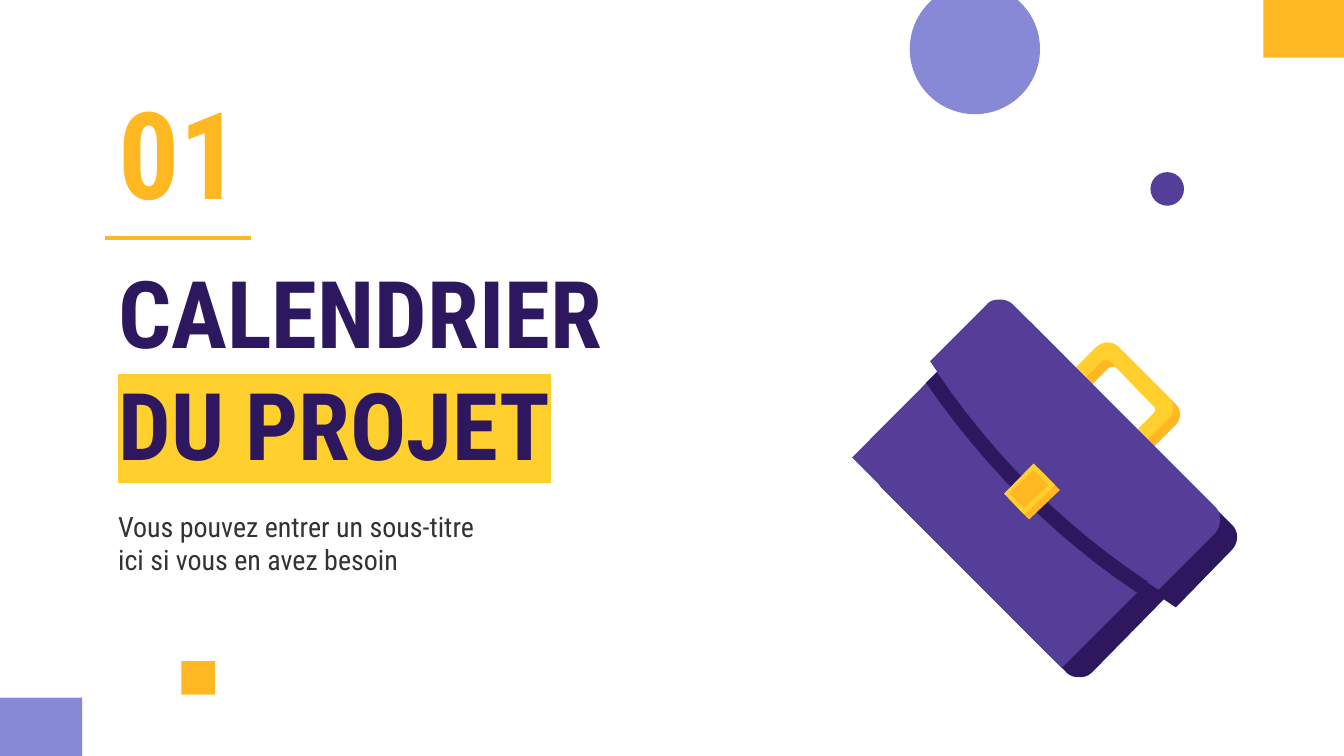
from lxml import etree
from pptx import Presentation
from pptx.dml.color import RGBColor
from pptx.enum import shapes, text
from pptx.oxml.ns import qn
from pptx.util import Pt

ORANGE = RGBColor(0xFF, 0xB8, 0x22)
YELLOW = RGBColor(0xFF, 0xCF, 0x2D)
LILAC = RGBColor(0x87, 0x89, 0xD6)
PURPLE = RGBColor(0x54, 0x3E, 0x97)
DARK = RGBColor(0x2D, 0x18, 0x60)
GREY = RGBColor(0x33, 0x33, 0x33)
FONT = "Roboto Condensed"
RECT = shapes.MSO_SHAPE.RECTANGLE
OVAL = shapes.MSO_SHAPE.OVAL

HANDLE = [
    (136.8, 23), (134.6, 23, 133.2, 23.8, 131, 25.2), (113, 43.2),
    (118.8, 48.2), (133.9, 33.1), (135, 32.2, 137.2, 32.2, 138.2, 33.1),
    (161.3, 56.9), (162.7, 57.6, 162.7, 59.8, 161.3, 61.2), (146.2, 76.3),
    (151.9, 81.4), (169.9, 63.4), (172.8, 60.5, 172.8, 55.4, 169.9, 52.6),
    (142.6, 25.2), (141.1, 23.8, 139, 23, 136.8, 23),
]
SHADE = [
    (88.6, 9.4), (85.7, 9.4, 82.8, 10.1, 80.6, 12.2), (51.1, 42.5),
    (54.7, 48.2), (15.8, 86.4), (12.2, 90.7, 12.2, 97.2, 15.8, 100.8),
    (114.5, 199.4), (116.6, 201.6, 118.8, 202.3, 121.7, 202.3),
    (124.6, 202.3, 126.7, 201.6, 128.9, 199.4), (167, 160.6),
    (173.5, 164.9), (203, 134.6), (207.4, 130.3, 207.4, 123.8, 203, 120.2),
    (95.8, 12.2), (93.6, 10.1, 90.7, 9.4, 88.6, 9.4),
]
BODY = [(79.9, 4.3), (0, 84.6), (112.3, 197.3), (193, 116.6)]
FLAP = [
    (79.2, 0), (76.3, 0, 73.4, 0.7, 72, 2.9), (41.8, 33.1),
    (73.4, 82.1, 115.2, 123.8, 164.2, 155.5), (194.4, 125.3),
    (198, 121, 198, 114.5, 194.4, 110.9), (86.4, 2.9),
    (84.2, 0.7, 81.4, 0, 79.2, 0),
]
BAND = [
    (45.4, 38.9), (39.6, 44.6), (69.8, 88.6, 108, 127.4, 152.6, 157),
    (158.4, 151.2), (113.8, 121.7, 75.6, 83.5, 45.4, 38.9),
]
CLASP = [(97.2, 87.8), (81.4, 104), (92.2, 115.2), (108.7, 99.4)]
PLATE = [(97.2, 91.4), (84.2, 103.7), (92.2, 111.6), (105.1, 99.4)]


def paint(sp, color):
    sp.shadow.inherit = False
    sp.fill.solid()
    sp.fill.fore_color.rgb = color
    sp.line.fill.background()


def add_block(s, kind, x, y, w, h, color):
    sp = s.shapes.add_shape(kind, Pt(x), Pt(y), Pt(w), Pt(h))
    paint(sp, color)


def flatten(outline, steps=12):
    points = [outline[0]]
    for seg in outline[1:]:
        if len(seg) == 2:
            points.append(seg)
            continue
        ends = [points[-1], seg[:2], seg[2:4], seg[4:]]
        for i in range(1, steps + 1):
            t = i / steps
            weights = ((1 - t) ** 3, 3 * t * (1 - t) ** 2, 3 * t * t * (1 - t), t ** 3)
            points.append(tuple(sum(k * e[a] for k, e in zip(weights, ends)) for a in (0, 1)))
    return points


def add_briefcase(s, x, y):
    parts = [
        (HANDLE, 3.6, ORANGE), (HANDLE, 0, YELLOW), (SHADE, 0, DARK),
        (BODY, 0, PURPLE), (FLAP, 0, PURPLE), (BAND, 0, DARK),
        (CLASP, 2.6, ORANGE), (CLASP, 0, YELLOW), (PLATE, 0, ORANGE),
    ]
    for outline, shift, color in parts:
        points = [(Pt(x + shift + px), Pt(y + shift + py)) for px, py in flatten(outline)]
        fb = s.shapes.build_freeform(*points[0])
        fb.add_line_segments(points[1:], close=True)
        paint(fb.convert_to_shape(), color)


def set_text(sp, box, runs, size, color, bold, anchor):
    sp.left, sp.top, sp.width, sp.height = map(Pt, box)
    tf = sp.text_frame
    tf.word_wrap = True
    tf.auto_size = text.MSO_AUTO_SIZE.NONE
    tf.vertical_anchor = anchor
    tf.margin_left = tf.margin_right = tf.margin_top = tf.margin_bottom = Pt(7.2)
    p = tf.paragraphs[0]
    p.alignment = text.PP_ALIGN.LEFT
    p.font.name, p.font.size, p.font.bold = FONT, Pt(size), bold
    p.font.color.rgb = color
    for words in runs:
        r = p.add_run()
        r.text = words
    return p


def highlight(r, color):
    mark = etree.SubElement(r.font._element, qn("a:highlight"))
    etree.SubElement(mark, qn("a:srgbClr")).set("val", str(color))


def add_heading(s, x, y):
    middle, top = text.MSO_ANCHOR.MIDDLE, text.MSO_ANCHOR.TOP
    p = set_text(s.shapes.title, (x, y + 90.7, 292.3, 126.7),
                 ["CALENDRIER ", "DU PROJET"], 50, DARK, True, middle)
    highlight(p.runs[1], YELLOW)
    number = s.shapes.add_textbox(0, 0, 0, 0)
    set_text(number, (x, y, 206.6, 76.3), ["01"], 65, ORANGE, True, middle)
    subtitle = s.shapes.add_textbox(0, 0, 0, 0)
    set_text(subtitle, (x, y + 223.2, 206.6, 51.1),
             ["Vous pouvez entrer un sous-titre ici si vous en avez besoin"],
             15, GREY, False, top)
    rule = s.shapes.add_connector(shapes.MSO_CONNECTOR.STRAIGHT,
                                  Pt(x), Pt(y + 85), Pt(x + 78.5), Pt(y + 85))
    rule.line.color.rgb = ORANGE
    rule.line.width = Pt(2.25)
    etree.SubElement(rule._element.spPr, qn("a:effectLst"))


def add_decor(s):
    add_block(s, OVAL, 487.4, -8.6, 69.8, 69.8, LILAC)
    add_block(s, RECT, -12.2, 373.7, 56.2, 59, LILAC)
    add_block(s, RECT, 676.8, -28.1, 56.2, 59, ORANGE)
    add_block(s, RECT, 97.2, 354.2, 18, 18, ORANGE)
    add_block(s, OVAL, 616.3, 92.2, 18, 18, PURPLE)


def main():
    prs = Presentation()
    prs.slide_width, prs.slide_height = Pt(720), Pt(405)
    s = prs.slides.add_slide(prs.slide_layouts[5])
    add_decor(s)
    add_heading(s, 56.2, 42.5)
    add_briefcase(s, 456.5, 160.5)
    prs.save("out.pptx")


if __name__ == "__main__":
    main()
